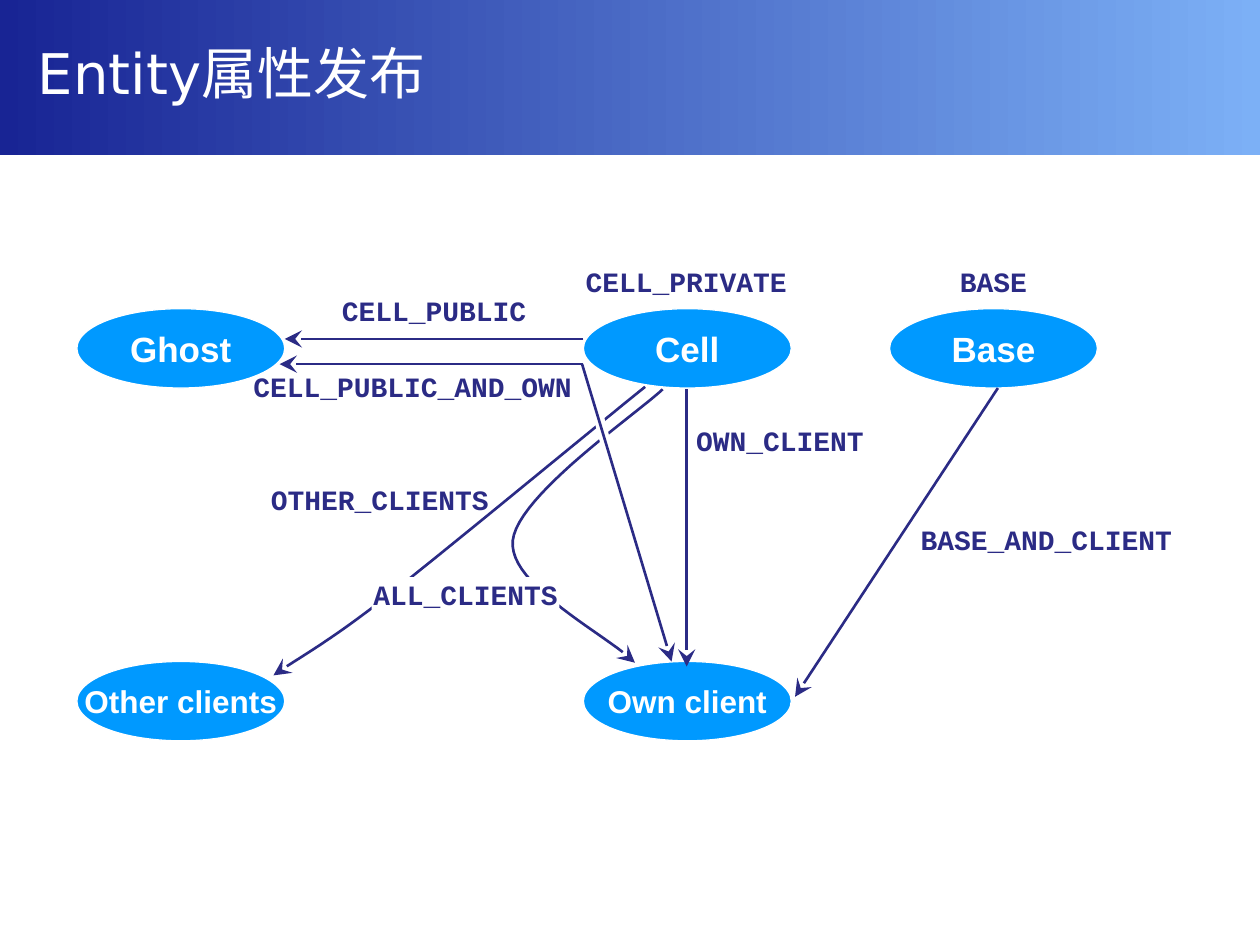
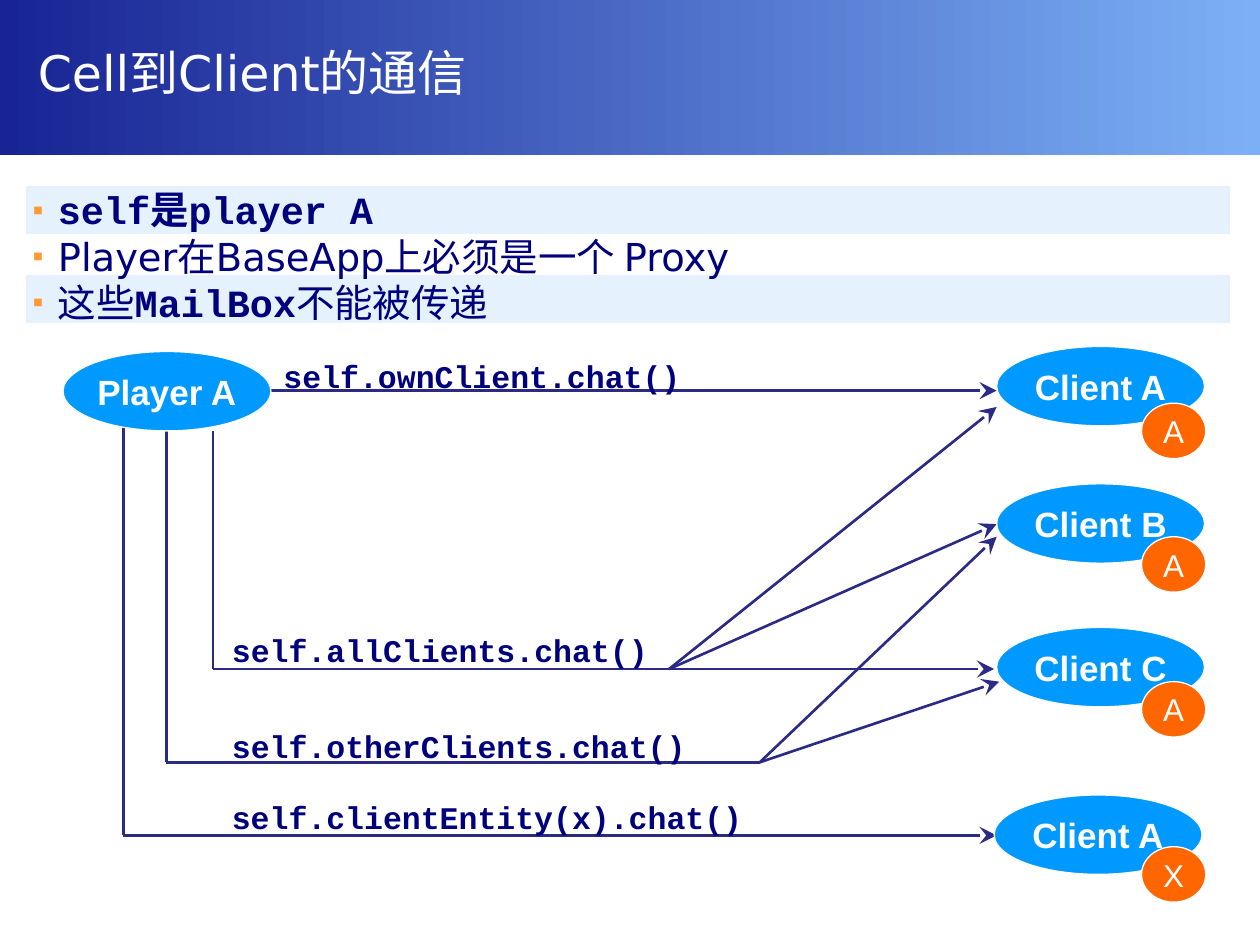
from dataclasses import dataclass
from itertools import pairwise

from lxml.etree import SubElement
from pptx import Presentation
from pptx.dml.color import RGBColor
from pptx.enum.shapes import MSO_CONNECTOR, MSO_SHAPE
from pptx.enum.text import MSO_ANCHOR, PP_ALIGN
from pptx.oxml.ns import qn
from pptx.util import Inches, Pt


@dataclass(frozen=True)
class Theme:
    """Colours, fonts and type sizes of the deck."""
    band_dark: str = "182494"
    band_light: str = "7CB0F6"
    white: str = "FFFFFF"
    line: str = "2B2B85"
    code: str = "00007D"
    node: str = "0099FF"
    badge: str = "FF6600"
    stripe: str = "E6F1FE"
    bullet: str = "FF9933"
    sans: str = "DejaVu Sans"
    mono: str = "Courier New"
    label_font: str = "Arial"
    body_size: float = 22
    node_size: float = 20
    small_size: float = 18
    label_size: float = 16


@dataclass(frozen=True)
class Box:
    """A region of the slide, in inches."""
    left: float
    top: float
    width: float
    height: float

    def at(self, x, y):
        """Return a point of the region as slide lengths."""
        return Inches(self.left + x), Inches(self.top + y)


THEME = Theme()
NODE_W, NODE_H = 1.65, 0.63


def rgb(value):
    """Turn a hex string into a colour."""
    return RGBColor.from_string(value)


def style_runs(paragraph, size, font, color, bold=False):
    """Format every run of a paragraph."""
    for run in paragraph.runs:
        run.font.size = Pt(size)
        run.font.name = font
        run.font.bold = bold
        run.font.color.rgb = rgb(color)


def set_insets(frame, left=0, top=0, right=0, bottom=0):
    """Set the four inner margins of a text frame."""
    frame.margin_left, frame.margin_top = Inches(left), Inches(top)
    frame.margin_right, frame.margin_bottom = Inches(right), Inches(bottom)


def add_filled(slide, preset, origin, width, height, color):
    """Add a flat preset shape with a thin white outline."""
    shape = slide.shapes.add_shape(preset, *origin, Inches(width), Inches(height))
    shape.shadow.inherit = False
    shape.fill.solid()
    shape.fill.fore_color.rgb = rgb(color)
    shape.line.color.rgb = rgb(THEME.white)
    shape.line.width = Pt(0.75)
    return shape


def add_oval(slide, origin, text, size=THEME.node_size, color=THEME.node,
             width=NODE_W, height=NODE_H, bold=True):
    """Add an ellipse with a centred white caption."""
    oval = add_filled(slide, MSO_SHAPE.OVAL, origin, width, height, color)
    frame = oval.text_frame
    set_insets(frame, 0.1, 0.05, 0.1, 0.05)
    frame.word_wrap = False
    frame.vertical_anchor = MSO_ANCHOR.MIDDLE
    frame.text = text
    caption = frame.paragraphs[0]
    caption.alignment = PP_ALIGN.CENTER
    caption.space_before = Pt(size * 0.625)
    style_runs(caption, size, THEME.label_font, THEME.white, bold)


def add_label(slide, origin, text, width, size, color,
              align=PP_ALIGN.LEFT, backing=None):
    """Add a one-line monospaced label."""
    label = slide.shapes.add_textbox(*origin, Inches(width), Inches(size / 60))
    if backing:
        label.fill.solid()
        label.fill.fore_color.rgb = rgb(backing)
    frame = label.text_frame
    set_insets(frame)
    frame.word_wrap = False
    frame.text = text
    frame.paragraphs[0].alignment = align
    style_runs(frame.paragraphs[0], size, THEME.mono, color, bold=True)


def style_line(line, color=THEME.line, width=1.5, arrow=True):
    """Set colour and width of a line, with an arrowhead at its end."""
    line.color.rgb = rgb(color)
    line.width = Pt(width)
    if arrow:
        SubElement(line._get_or_add_ln(), qn("a:tailEnd"),
                   type="stealth", w="lg", len="lg")


def add_line(slide, box, start, end, **style):
    """Add a straight connector between two points of a region."""
    connector = slide.shapes.add_connector(
        MSO_CONNECTOR.STRAIGHT, *box.at(*start), *box.at(*end))
    style_line(connector.line, **style)
    SubElement(connector._element.spPr, qn("a:effectLst"))


def bezier(p0, p1, p2, p3, steps=24):
    """Return points along a cubic curve, without its first point."""
    points = []
    for step in range(1, steps + 1):
        t = step / steps
        weights = ((1 - t) ** 3, 3 * t * (1 - t) ** 2, 3 * t * t * (1 - t), t ** 3)
        points.append(tuple(sum(w * p[axis] for w, p in zip(weights, (p0, p1, p2, p3)))
                            for axis in (0, 1)))
    return points


def add_curve(slide, box, controls):
    """Add a curved arrow through chained cubic segments."""
    points = [point for i in range(0, len(controls) - 1, 3)
              for point in bezier(*controls[i:i + 4])]
    builder = slide.shapes.build_freeform(*box.at(*controls[0]))
    builder.add_line_segments([box.at(*point) for point in points], close=False)
    curve = builder.convert_to_shape()
    curve.shadow.inherit = False
    curve.fill.background()
    style_line(curve.line)


def add_band(layout, slide, box):
    """Build the gradient band and place it at the back of the layout."""
    band = add_filled(slide, MSO_SHAPE.RECTANGLE, box.at(0, 0),
                      box.width, box.height, THEME.band_dark)
    band.line.fill.background()
    band.fill.gradient()
    band.fill.gradient_angle = 0
    for stop, color in zip(band.fill.gradient_stops, (THEME.band_dark, THEME.band_light)):
        stop.color.rgb = rgb(color)
    layout.shapes._spTree.insert(2, band._element)


def add_title(slide, box, text, size):
    """Move and format the title placeholder."""
    title = slide.shapes.title
    title.left, title.top = box.at(0, 0)
    title.width, title.height = Inches(box.width), Inches(box.height)
    frame = title.text_frame
    set_insets(frame, 0.1, 0.04, 0.1, 0.05)
    frame.vertical_anchor = MSO_ANCHOR.MIDDLE
    frame.text = text
    frame.paragraphs[0].alignment = PP_ALIGN.LEFT
    style_runs(frame.paragraphs[0], size, THEME.sans, THEME.white)


def add_publishing_diagram(slide, box):
    """Draw which entity parts receive each property flag."""
    left, middle, right = 0, 4.02, 6.45
    upper, lower = 0.35, 3.15
    nodes = [("Ghost", left, upper, THEME.node_size),
             ("Cell", middle, upper, THEME.node_size),
             ("Base", right, upper, THEME.node_size),
             ("Other clients", left, lower, THEME.small_size),
             ("Own client", middle, lower, THEME.small_size)]
    for name, x, y, size in nodes:
        add_oval(slide, box.at(x, y), name, size)

    other_clients = [(4.51, 0.97), (4.16, 1.25), (2.94, 2.26), (2.44, 2.65),
                     (1.95, 3.03), (1.74, 3.13), (1.56, 3.26)]
    all_clients = [(4.65, 0.99), (4.45, 1.18), (3.5, 1.83), (3.46, 2.19),
                   (3.42, 2.55), (4.23, 2.95), (4.43, 3.16)]
    for controls in (other_clients, all_clients):
        add_curve(slide, box, controls)
    add_line(slide, box, (4.08, 0.98), (4.27, 1.69),
             color=THEME.white, width=6, arrow=False)
    arrows = [((middle, 0.59), (1.65, 0.59)), ((middle, 0.79), (1.61, 0.79)),
              ((4.01, 0.79), (4.72, lower)), ((4.84, 0.99), (4.84, 3.19)),
              ((7.31, 0.98), (5.7, 3.43))]
    for start, end in arrows:
        add_line(slide, box, start, end)

    flags = [("CELL_PRIVATE", 4.01, 0, 1.65), ("BASE", right, 0, 1.65),
             ("CELL_PUBLIC", 2.03, 0.23, 1.61), ("CELL_PUBLIC_AND_OWN", 1.33, 0.83, 2.67),
             ("OWN_CLIENT", 4.91, 1.26, 1.34), ("OTHER_CLIENTS", 1.52, 1.73, 1.77),
             ("BASE_AND_CLIENT", 6.69, 2.05, 2.01), ("ALL_CLIENTS", 2.34, 2.48, 1.49)]
    for flag, x, y, width in flags:
        backing = THEME.white if flag == "ALL_CLIENTS" else None
        add_label(slide, box.at(x, y), flag, width, THEME.label_size,
                  THEME.line, PP_ALIGN.CENTER, backing)


def add_bullet(paragraph):
    """Give a paragraph a small square bullet with a hanging indent."""
    properties = paragraph._p.get_or_add_pPr()
    properties.set("marL", str(Inches(0.2)))
    properties.set("indent", str(-Inches(0.2)))
    color = SubElement(properties, qn("a:buClr"))
    SubElement(color, qn("a:srgbClr"), val=THEME.bullet)
    SubElement(properties, qn("a:buSzPct"), val="80000")
    SubElement(properties, qn("a:buFont"), typeface=THEME.label_font)
    SubElement(properties, qn("a:buChar"), char="▪")


def add_notes_list(slide, box):
    """Place the striped list of remarks."""
    for y in (0, 0.71):
        add_filled(slide, MSO_SHAPE.RECTANGLE, box.at(0, y),
                   box.width, 0.39, THEME.stripe)
    remarks = [[("self是player A", THEME.mono, True)],
               [("Player在BaseApp上必须是一个 Proxy", THEME.sans, False)],
               [("这些", THEME.sans, False), ("MailBox", THEME.mono, True),
                ("不能被传递", THEME.mono, False)]]
    listing = slide.shapes.add_textbox(*box.at(0, 0), Inches(box.width), Inches(box.height))
    frame = listing.text_frame
    frame.word_wrap = True
    set_insets(frame, 0.06, 0.01)
    for index, remark in enumerate(remarks):
        paragraph = frame.add_paragraph() if index else frame.paragraphs[0]
        add_bullet(paragraph)
        for text, _, _ in remark:
            paragraph.add_run().text = text
        for run, (_, font, bold) in zip(paragraph.runs, remark):
            run.font.size = Pt(THEME.body_size)
            run.font.name = font
            run.font.bold = bold
            run.font.color.rgb = rgb(THEME.code)


def add_call_diagram(slide, box):
    """Draw the calls that lead from the player to its clients."""
    calls = [("self.ownClient.chat()", (1.75, 0.08), 3.4,
              [(1.65, 0.35)], [(7.41, 0.35)]),
             ("self.allClients.chat()", (1.34, 2.26), 3.55,
              [(1.19, 0.67), (1.19, 2.56), (4.81, 2.56)],
              [(7.41, 0.48), (7.41, 1.41), (7.39, 2.56)]),
             ("self.otherClients.chat()", (1.34, 3.02), 3.85,
              [(0.82, 0.67), (0.82, 3.3), (5.53, 3.3)],
              [(7.41, 1.51), (7.43, 2.66)]),
             ("self.clientEntity(x).chat()", (1.34, 3.58), 4.3,
              [(0.48, 0.61), (0.48, 3.88)], [(7.41, 3.88)])]
    for call, place, width, stem, tips in calls:
        for start, end in pairwise(stem):
            add_line(slide, box, start, end, arrow=False)
        for tip in tips:
            add_line(slide, box, stem[-1], tip)
        add_label(slide, box.at(*place), call, width, THEME.small_size, THEME.code)

    add_oval(slide, box.at(0, 0.04), "Player A")
    clients = [("Client A", 7.41, 0, "A", 0.45), ("Client B", 7.41, 1.09, "A", 1.51),
               ("Client C", 7.41, 2.23, "A", 2.66), ("Client A", 7.39, 3.56, "X", 3.97)]
    for client, x, y, entity, entity_y in clients:
        add_oval(slide, box.at(x, y), client)
        add_oval(slide, box.at(8.56, entity_y), entity, THEME.small_size,
                 THEME.badge, 0.51, 0.44, bold=False)


def main():
    """Build and save the deck."""
    deck = Presentation()
    deck.slide_width, deck.slide_height = Inches(10), Inches(7.5)
    layout = deck.slide_layouts[5]
    title_box = Box(0.2, 0, 9.57, 1.15)

    publishing = deck.slides.add_slide(layout)
    add_band(layout, publishing, Box(0, 0, 10, 1.23))
    add_title(publishing, title_box, "Entity属性发布", 32)
    add_publishing_diagram(publishing, Box(0.61, 2.1, 8.7, 3.78))

    messaging = deck.slides.add_slide(layout)
    add_title(messaging, title_box, "Cell到Client的通信", 28)
    add_notes_list(messaging, Box(0.2, 1.47, 9.57, 1.06))
    add_call_diagram(messaging, Box(0.5, 2.75, 9.07, 4.41))
    deck.save("out.pptx")


if __name__ == "__main__":
    main()
